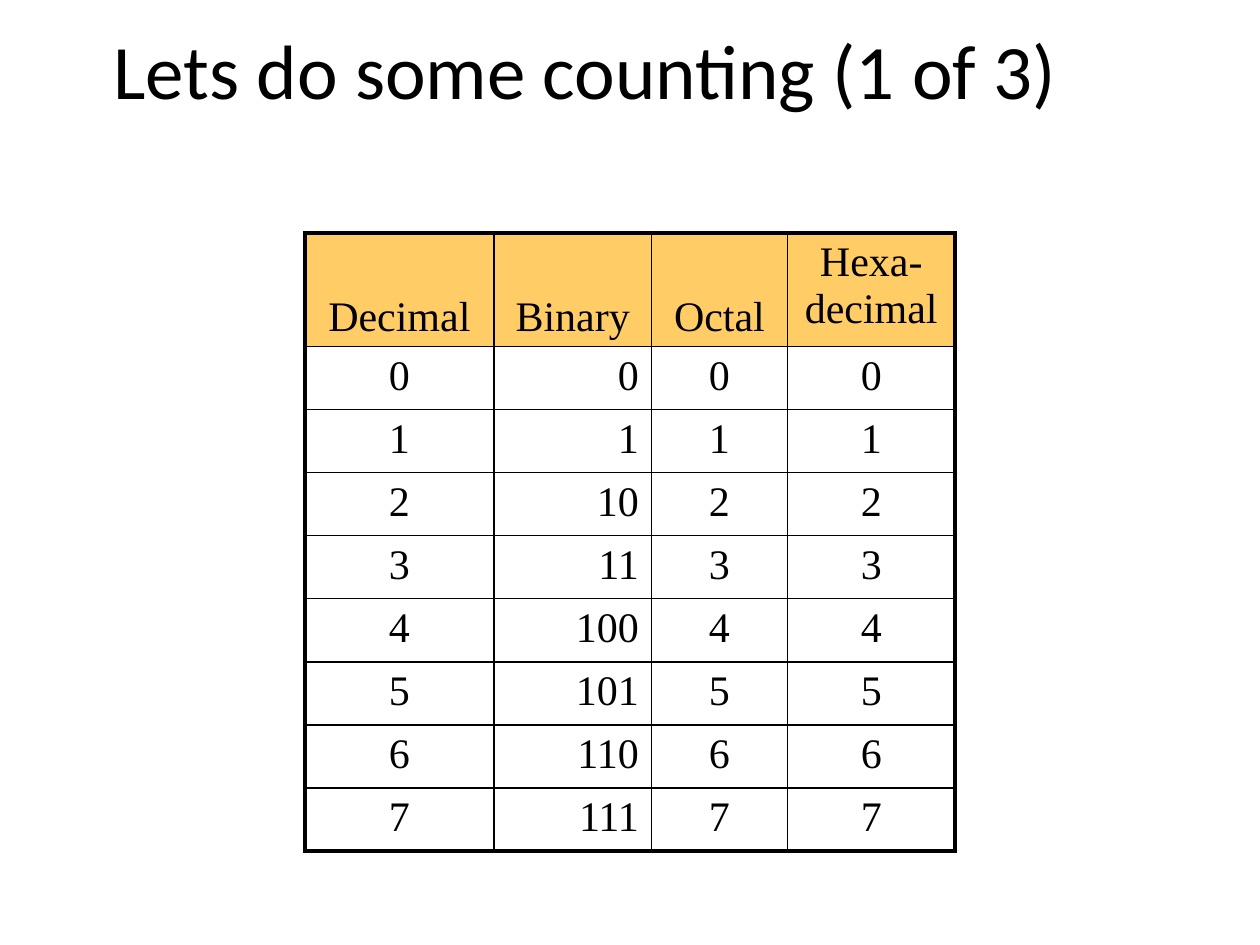
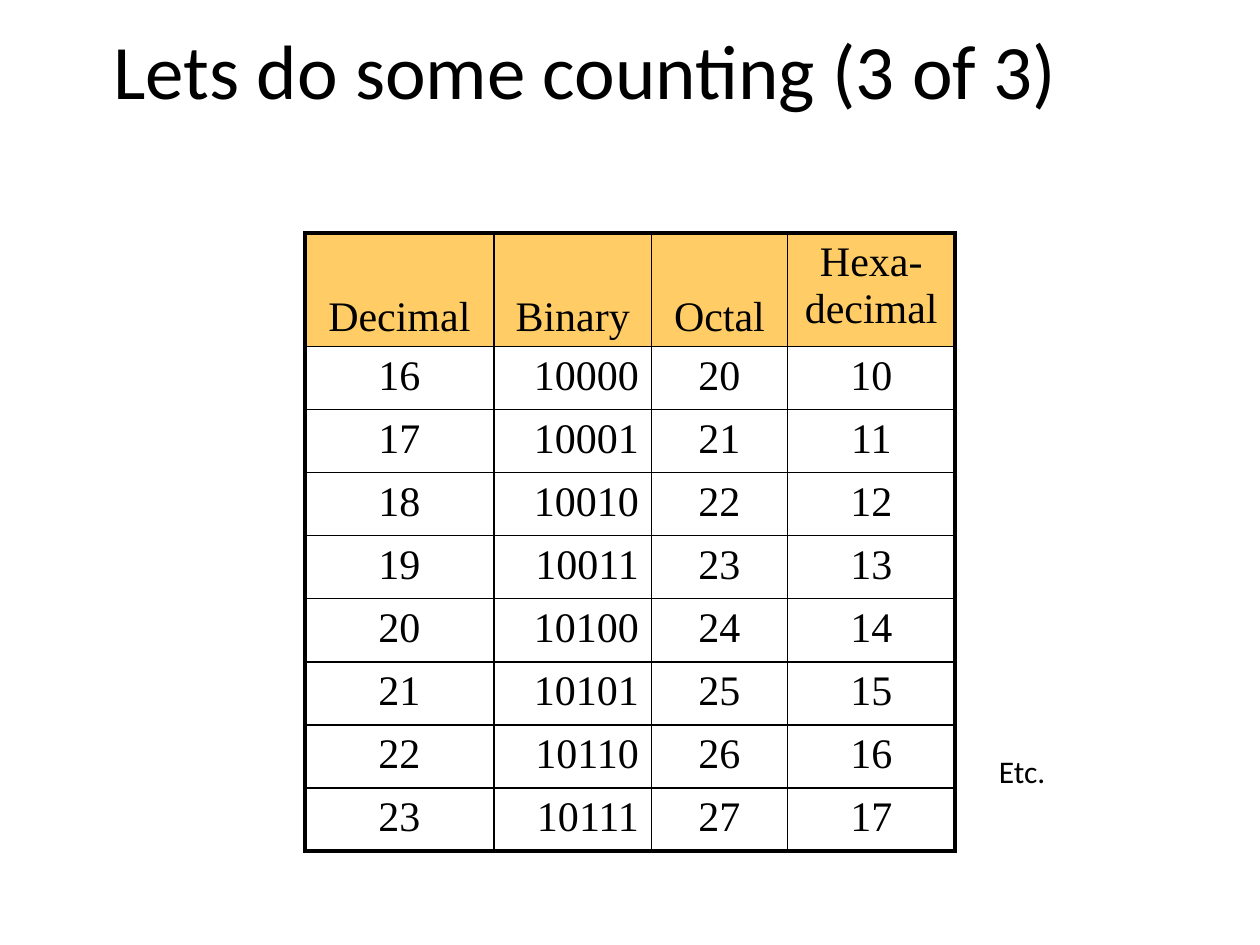
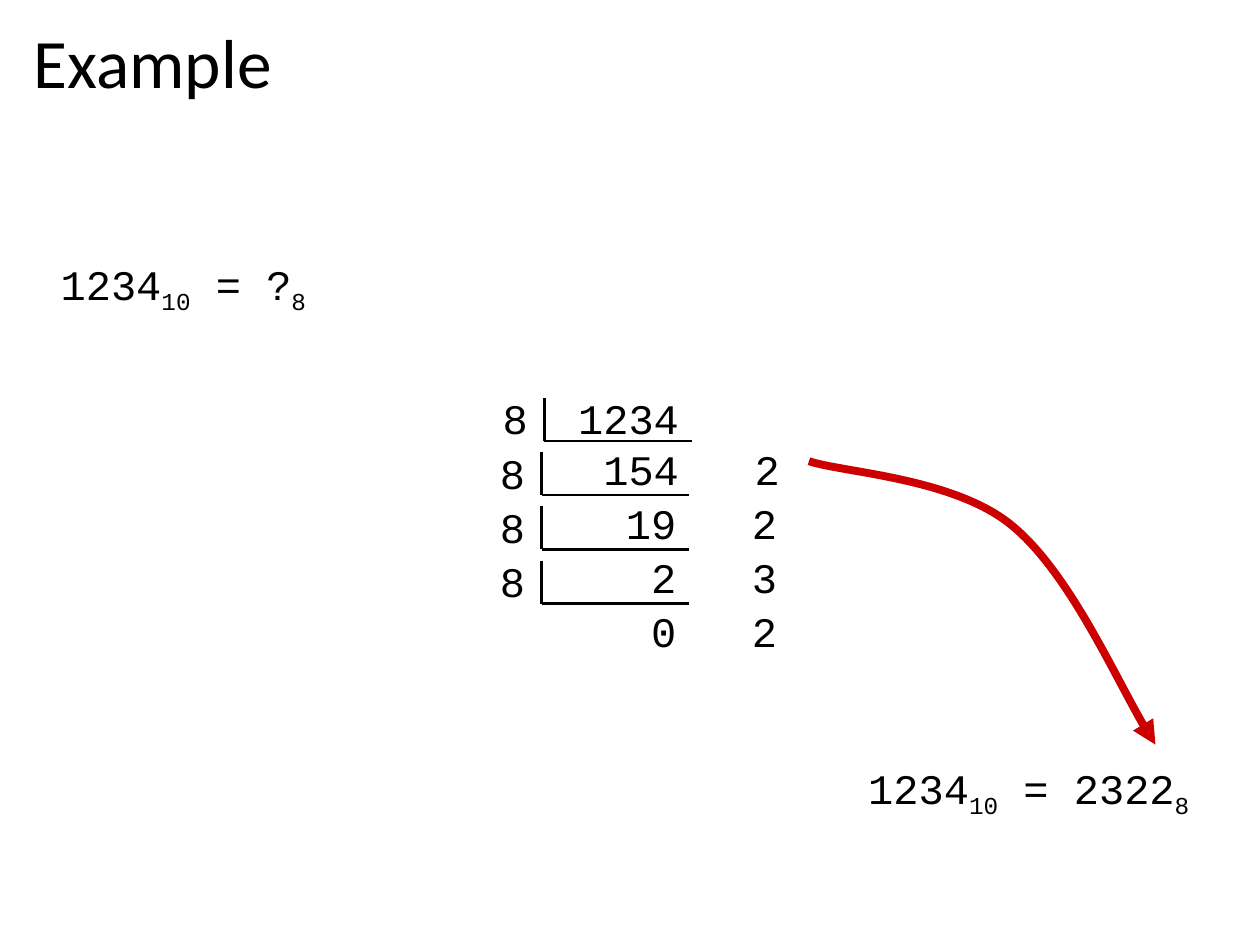
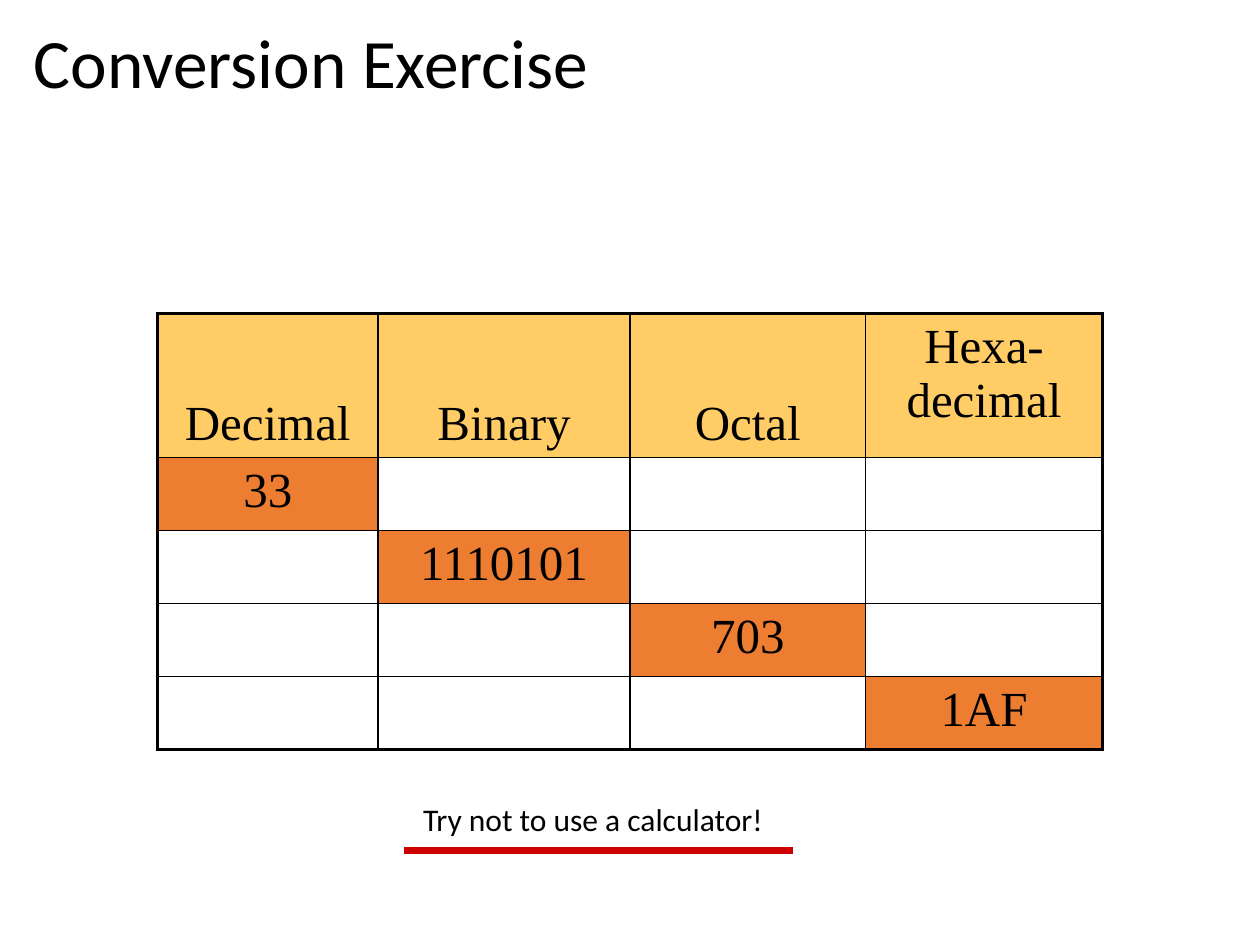
from lxml.etree import SubElement
from pptx import Presentation
from pptx.dml.color import RGBColor
from pptx.enum.shapes import MSO_CONNECTOR as Connector
from pptx.enum.text import MSO_ANCHOR as Anchor, PP_ALIGN as Align
from pptx.oxml.ns import qn
from pptx.util import Inches, Pt

BLACK, RED, GOLD, ORANGE = "000000", "CC0000", "FFCC66", "ED7D31"
SANS, SERIF, MONO = "Calibri", "Times New Roman", "Courier New"
THIN, THICK = 1, 2.25

# Content
BASES = ["Decimal", "Binary", "Octal", "Hexa-\ndecimal"]
COUNTING = [  # title, first number, remark
    ("Lets do some counting (1 of 3)", 0, None),
    ("Lets do some counting (3 of 3)", 16, "Etc."),
]
COUNT_ROWS = 8
QUESTION = [("1234", 0), ("10", -25), (" = ?", 0), ("8", -25)]
ANSWER = [("1234", 0), ("10", -25), (" = 2322", 0), ("8", -25)]
DIVISION_STEPS = [  # left edge, dividend line, quotient and remainder line
    (3.89, "8\t1234", "\t154\t2"),
    (3.87, "8", "\t19\t2"),
    (3.87, "8", "\t2\t3"),
    (3.87, "8", "\t0\t2"),
]
DIVISION_TOP, DIVISION_PITCH = 3.07, 0.43
DIVISION_TABS = [(1.4, "r"), (2.0, "l")]
READING_CURVE = [(6.42, 3.66), (6.68, 3.75), (7.57, 3.79), (8.03, 4.17),
                 (8.48, 4.54), (8.93, 5.55), (9.17, 5.91)]
EXERCISE = ["33", "1110101", "703", "1AF"]  # one given value per base


def rgb(value):
    """Turn a hex string into a colour."""
    return RGBColor.from_string(value)


def write(frame, paragraphs, size=24, font=SANS, align=Align.LEFT,
          spacing=None, tabs=(), color=BLACK):
    """Fill a text frame; a paragraph is a string or (text, baseline) pairs."""
    for index, content in enumerate(paragraphs):
        paragraph = frame.paragraphs[0] if index == 0 else frame.add_paragraph()
        paragraph.alignment = align
        if spacing:
            paragraph.line_spacing = spacing
        if tabs:
            stops = SubElement(paragraph._p.get_or_add_pPr(), qn("a:tabLst"))
            for position, side in tabs:
                SubElement(stops, qn("a:tab"), pos=str(Inches(position)), algn=side)
        pieces = [(content, 0)] if isinstance(content, str) else content
        for text, baseline in pieces:
            for number, line in enumerate(text.split("\n")):
                if number:
                    paragraph.add_line_break()
                run = paragraph.add_run()
                run.text = line
                run.font.size, run.font.name = Pt(size), font
                run.font.color.rgb = rgb(color)
                if baseline:
                    run._r.get_or_add_rPr().set("baseline", str(baseline * 1000))


def add_text(slide, box, paragraphs, wrap=True, **style):
    """Add a text box at (left, top, width, height)."""
    frame = slide.shapes.add_textbox(*map(Inches, box)).text_frame
    frame.word_wrap = wrap
    frame.vertical_anchor = Anchor.TOP
    write(frame, paragraphs, **style)


def add_title(slide, title, box=(0.17, 0.18, 9.62, 0.74), size=39.6):
    """Add the slide title."""
    add_text(slide, box, [title], size=size, spacing=0.9)


def add_line(slide, start, end, color=BLACK, width=1.5):
    """Draw a straight line without a shadow."""
    line = slide.shapes.add_connector(
        Connector.STRAIGHT, *map(Inches, (*start, *end)))
    line.line.color.rgb = rgb(color)
    line.line.width = Pt(width)
    SubElement(line._element.spPr, qn("a:effectLst"))


def add_curve_arrow(slide, points, color=RED, width=4.5):
    """Draw a Bezier curve with an arrowhead at its end."""
    corners = [(Inches(x), Inches(y)) for x, y in points]
    builder = slide.shapes.build_freeform(*corners[0])
    builder.add_line_segments(corners[1:], close=False)
    curve = builder.convert_to_shape()
    curve.shadow.inherit = False
    curve.fill.background()
    curve.line.color.rgb = rgb(color)
    curve.line.width = Pt(width)
    SubElement(curve.line._get_or_add_ln(), qn("a:tailEnd"), type="triangle")
    outline = next(curve._element.iter(qn("a:path")))
    segments = outline.findall(qn("a:lnTo"))
    for first in range(0, len(segments), 3):
        bezier = SubElement(outline, qn("a:cubicBezTo"))
        for segment in segments[first:first + 3]:
            bezier.append(segment[0])
            outline.remove(segment)


def set_borders(cell, widths):
    """Draw the left, right, top and bottom borders of a cell."""
    properties = cell._tc.get_or_add_tcPr()
    for side, width in zip("LRTB", widths):
        border = SubElement(properties, qn("a:ln" + side), w=str(Pt(width)))
        fill = SubElement(border, qn("a:solidFill"))
        SubElement(fill, qn("a:srgbClr"), val=BLACK)


def add_base_table(slide, corner, widths, heights, rows, size,
                   aligns=(Align.CENTER,) * 4, given=None):
    """Add a table headed by the number bases; given colours filled-in cells."""
    rows = [BASES] + rows
    table = slide.shapes.add_table(
        len(rows), len(widths),
        *map(Inches, (*corner, sum(widths), sum(heights)))).table
    table.first_row = table.horz_banding = False
    for column, width in zip(table.columns, widths):
        column.width = Inches(width)
    for row, height in zip(table.rows, heights):
        row.height = Inches(height)
    last_row, last_column = len(rows) - 1, len(widths) - 1
    for r, values in enumerate(rows):
        for c, value in enumerate(values):
            cell = table.cell(r, c)
            edges = (c == 0, c == last_column, r == 0, r == last_row)
            set_borders(cell, [THICK if edge else THIN for edge in edges])
            fill = GOLD if r == 0 else given if value else None
            if fill:
                cell.fill.solid()
                cell.fill.fore_color.rgb = rgb(fill)
            else:
                cell.fill.background()
            low = r == 0 and "\n" not in value
            cell.vertical_anchor = Anchor.BOTTOM if low else Anchor.TOP
            write(cell.text_frame, [value], size=size, font=SERIF,
                  align=Align.CENTER if r == 0 else aligns[c])


def counting_slide(slide, title, first, remark):
    """Count eight numbers in all four bases."""
    add_title(slide, title, box=(0.8, 0.21, 8.4, 1.5), size=44)
    rows = [[format(n, base) for base in "dboX"]
            for n in range(first, first + COUNT_ROWS)]
    add_base_table(slide, (2.42, 1.85), [1.5, 1.25, 1.08, 1.33],
                   [0.9] + [0.5] * (COUNT_ROWS - 1) + [0.49], rows, 24,
                   aligns=(Align.CENTER, Align.RIGHT, Align.CENTER, Align.CENTER))
    if remark:
        add_text(slide, (7.83, 5.92, 0.73, 0.5), [remark], wrap=False, size=18)


def example_slide(slide):
    """Convert a decimal number to octal by repeated division."""
    add_title(slide, "Example")
    add_text(slide, (0.33, 2, 2.25, 0.5), [QUESTION], font=MONO, align=Align.CENTER)
    for step, (left, dividend, result) in enumerate(DIVISION_STEPS):
        top = DIVISION_TOP + step * DIVISION_PITCH
        add_text(slide, (left, top, 2.4, 0.9), [dividend, result],
                 font=MONO, tabs=DIVISION_TABS)
        corner = (left + 0.43, top + 0.43)
        add_line(slide, (corner[0], top + 0.09), corner)
        add_line(slide, corner, (left + 1.6, corner[1]))
    add_text(slide, (6.58, 6, 3.17, 0.5), [ANSWER], font=MONO, align=Align.CENTER)
    add_curve_arrow(slide, READING_CURVE)


def exercise_slide(slide):
    """Give one value per base and leave the others to be filled in."""
    add_title(slide, "Conversion Exercise")
    add_text(slide, (3.26, 6.3, 2.93, 0.4), ["Try not to use a calculator!"],
             wrap=False, size=18)
    add_line(slide, (3.21, 6.75), (6.29, 6.75), color=RED, width=4.5)
    rows = [[value if c == r else "" for c in range(len(BASES))]
            for r, value in enumerate(EXERCISE)]
    add_base_table(slide, (1.25, 2.49), [1.75, 2, 1.87, 1.88],
                   [1.14] + [0.58] * len(EXERCISE), rows, 28, given=ORANGE)


deck = Presentation()
deck.slide_width, deck.slide_height = Inches(10), Inches(7.5)


def new_slide():
    """Add a blank slide."""
    return deck.slides.add_slide(deck.slide_layouts[6])


for counting in COUNTING:
    counting_slide(new_slide(), *counting)
example_slide(new_slide())
exercise_slide(new_slide())
deck.save("out.pptx")
